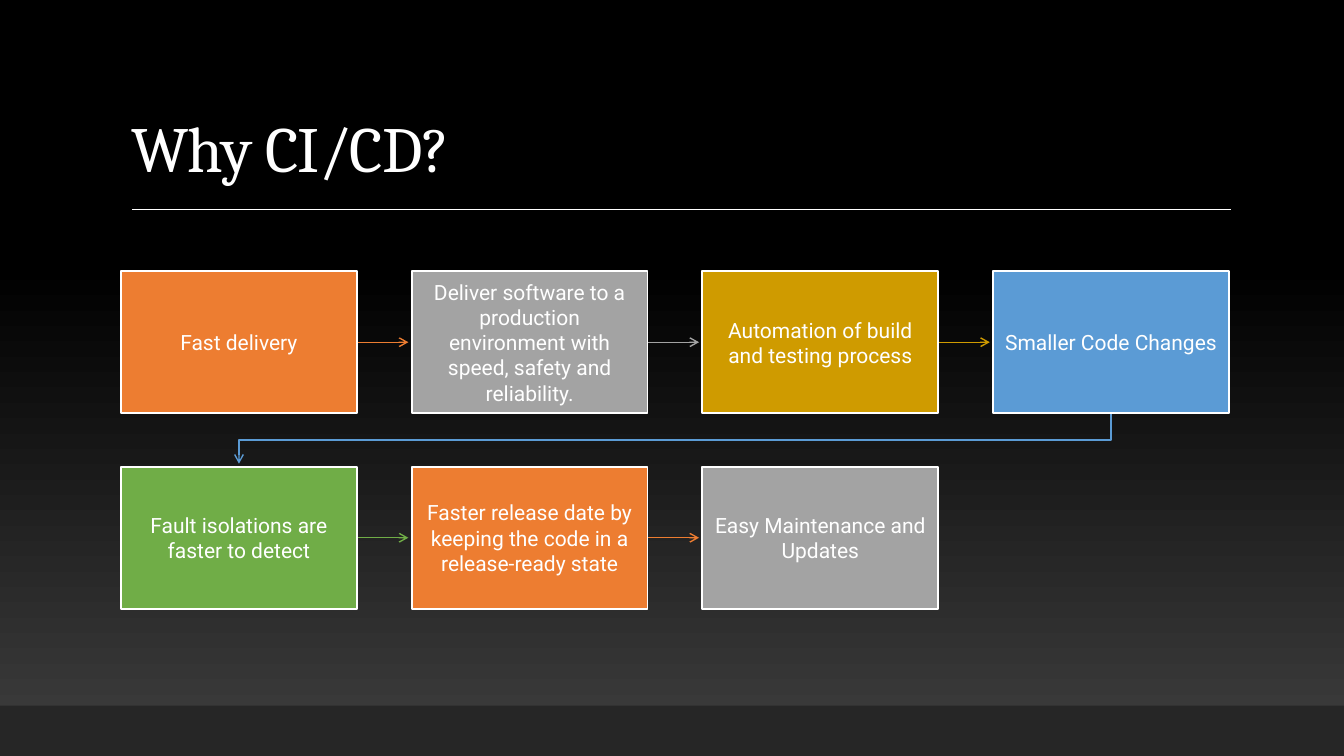
from dataclasses import dataclass

from lxml.etree import SubElement
from pptx import Presentation
from pptx.dml.color import RGBColor
from pptx.enum.shapes import MSO_CONNECTOR as Connector, MSO_SHAPE as Shape
from pptx.enum.text import MSO_ANCHOR as Anchor, MSO_AUTO_SIZE as AutoSize, PP_ALIGN as Align
from pptx.oxml.ns import qn
from pptx.util import Inches, Pt

WHITE = "FFFFFF"
LEFT, TOP = 1.2, 2.69
BOX_WIDTH, BOX_HEIGHT = 2.34, 1.41
COLUMNS = 4
COLUMN_STEP, ROW_STEP = 8.65 / 3, 1.94
ARROW_LENGTH = 0.51


@dataclass
class Step:
    text: str
    colour: str


STEPS = [
    Step("Fast delivery", "ED7D31"),
    Step("Deliver software to a production environment with speed, safety and reliability.", "A3A3A3"),
    Step("Automation of build and testing process", "CF9B00"),
    Step("Smaller Code Changes", "5B9BD5"),
    Step("Fault isolations are faster to detect", "70AD47"),
    Step("Faster release date by keeping the code in a release-ready state", "ED7D31"),
    Step("Easy Maintenance and Updates", "A3A3A3"),
]


def rgb(colour: str) -> RGBColor:
    return RGBColor.from_string(colour)


def write_text(shape, text: str, *, font: str, size: float, align: Align, anchor: Anchor,
               margins: tuple[float, float] = (0.1, 0.05), line_spacing: float = 1.0,
               tracking: float = 0) -> None:
    """Fill a shape with one white paragraph; tracking is in points."""
    frame = shape.text_frame
    frame.word_wrap = True
    frame.auto_size = AutoSize.NONE
    frame.vertical_anchor = anchor
    frame.margin_left = frame.margin_right = Inches(margins[0])
    frame.margin_top = frame.margin_bottom = Inches(margins[1])
    paragraph = frame.paragraphs[0]
    paragraph.alignment = align
    paragraph.line_spacing = line_spacing
    run = paragraph.add_run()
    run.text = text
    run.font.name = font
    run.font.size = Pt(size)
    run.font.color.rgb = rgb(WHITE)
    if tracking:
        run.font._element.set("spc", str(round(tracking * 100)))


def add_box(slide, left: float, top: float, width: float, height: float,
            colour: str, outline: str | None = None):
    box = slide.shapes.add_shape(Shape.RECTANGLE, Inches(left), Inches(top),
                                 Inches(width), Inches(height))
    box.shadow.inherit = False
    box.fill.solid()
    box.fill.fore_color.rgb = rgb(colour)
    if outline:
        box.line.color.rgb = rgb(outline)
        box.line.width = Pt(1.25)
    else:
        box.line.fill.background()
    return box


def add_line(slide, points: list[tuple[float, float]], colour: str, arrow: bool = True) -> None:
    """Join two points with a connector, or more points with an open outline."""
    corners = [(Inches(x), Inches(y)) for x, y in points]
    if len(corners) == 2:
        line = slide.shapes.add_connector(Connector.STRAIGHT, *corners[0], *corners[1])
    else:
        builder = slide.shapes.build_freeform(*corners[0])
        builder.add_line_segments(corners[1:], close=False)
        line = builder.convert_to_shape()
        line.fill.background()
    line.line.color.rgb = rgb(colour)
    line.line.width = Pt(1)
    properties = line._element.spPr
    if arrow:
        SubElement(properties.find(qn("a:ln")), qn("a:tailEnd"), type="arrow")
    SubElement(properties, qn("a:effectLst"))


def add_step(slide, index: int, step: Step) -> None:
    row, column = divmod(index, COLUMNS)
    left, top = LEFT + column * COLUMN_STEP, TOP + row * ROW_STEP
    right, bottom = left + BOX_WIDTH, top + BOX_HEIGHT
    middle = top + BOX_HEIGHT / 2
    if column == COLUMNS - 1:
        # Wrap to the first box of the next row
        start, end = left + BOX_WIDTH / 2, LEFT + BOX_WIDTH / 2
        turn = bottom + (ROW_STEP - BOX_HEIGHT) / 2
        add_line(slide, [(start, bottom), (start, turn), (end, turn), (end, bottom + 0.5)],
                 step.colour)
    elif index < len(STEPS) - 1:
        add_line(slide, [(right, middle), (right + ARROW_LENGTH, middle)], step.colour)
    box = add_box(slide, left, top, BOX_WIDTH, BOX_HEIGHT, step.colour, WHITE)
    write_text(box, step.text, font="Roboto", size=15, align=Align.CENTER,
               anchor=Anchor.MIDDLE, margins=(0.11, 0.12))


def main() -> None:
    presentation = Presentation()
    presentation.slide_width, presentation.slide_height = Inches(13.33), Inches(7.5)
    slide = presentation.slides.add_slide(presentation.slide_layouts[5])

    # Background: grey at the bottom fading up to black
    fill = slide.background.fill
    fill.gradient()
    fill.gradient_angle = 90
    for stop, (position, colour) in zip(fill.gradient_stops, [(0, "3F3F3F"), (0.65, "000000")]):
        stop.position = position
        stop.color.rgb = rgb(colour)

    # Title, rule and footer band
    title = slide.shapes.title
    title.left, title.top = Inches(LEFT), Inches(0.31)
    title.width, title.height = Inches(11), Inches(1.59)
    write_text(title, "Why CI/CD?", font="Cambria", size=46, align=Align.LEFT,
               anchor=Anchor.BOTTOM, line_spacing=0.9, tracking=-0.5)
    add_line(slide, [(1.31, 2.08), (12.21, 2.08)], WHITE, arrow=False)
    add_box(slide, 0, 7, 13.33, 0.5, "262626")

    # Steps with their arrows
    for index, step in enumerate(STEPS):
        add_step(slide, index, step)

    presentation.save("out.pptx")


if __name__ == "__main__":
    main()
